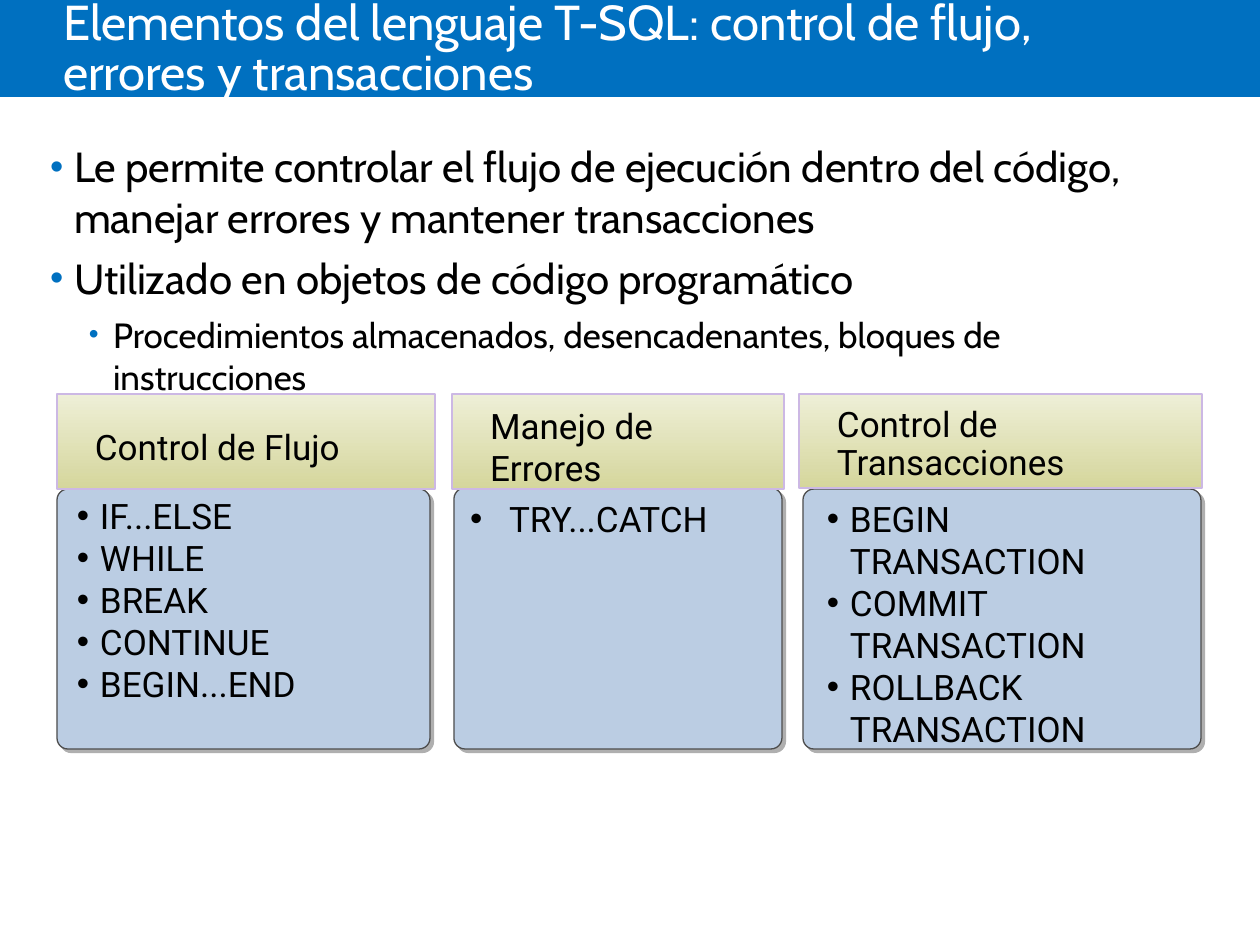
from lxml import etree
from pptx import Presentation
from pptx.dml.color import RGBColor
from pptx.enum.shapes import MSO_SHAPE
from pptx.enum.text import MSO_ANCHOR, MSO_AUTO_SIZE, PP_ALIGN
from pptx.oxml.ns import qn
from pptx.util import Pt

RECTANGLE, ROUNDED = MSO_SHAPE.RECTANGLE, MSO_SHAPE.ROUNDED_RECTANGLE
TOP, MIDDLE = MSO_ANCHOR.TOP, MSO_ANCHOR.MIDDLE
LEFT, NO_AUTOFIT = PP_ALIGN.LEFT, MSO_AUTO_SIZE.NONE
EMU_PER_PX = 914400 / 126

COLORS = {
    "band": "0070C0", "title": "FFFFFF", "text": "000000",
    "panel": "BBCDE3", "panel_line": "4D4D4D", "shadow": "AFAFAF",
    "header_top": "EEEFD7", "header_bottom": "D5D69C", "header_line": "CCB8E4",
}
TITLE = "Elementos del lenguaje T-SQL: control de flujo, errores y transacciones"
BODY = [
    (0, "Le permite controlar el flujo de ejecución dentro del código, "
        "manejar errores y mantener transacciones"),
    (0, "Utilizado en objetos de código programático"),
    (1, "Procedimientos almacenados, desencadenantes, bloques de instrucciones"),
]
LEVELS = [
    {"size": 24, "margin": 24, "bullet": 90},
    {"size": 20, "margin": 63, "bullet": 80},
]
COLUMNS = [
    {"title": "Control de Flujo", "header": (57, 394, 378, 95),
     "panel": (57, 489, 373, 260), "list": (77, 494, 304, 256), "indent": 23,
     "items": ["IF...ELSE", "WHILE", "BREAK", "CONTINUE", "BEGIN...END"]},
    {"title": "Manejo de Errores", "header": (452, 394, 332, 95),
     "panel": (454, 488, 328, 261), "list": None, "indent": 39,
     "items": ["TRY...CATCH"]},
    {"title": "Control de Transacciones", "header": (799, 394, 403, 94),
     "panel": (803, 489, 398, 260), "list": (827, 497, 365, 260), "indent": 23,
     "items": ["BEGIN TRANSACTION", "COMMIT TRANSACTION", "ROLLBACK TRANSACTION"],
     "line_spacing": 0.9, "space_before": 12},
]


def px(value):
    return round(value * EMU_PER_PX)


def color(name):
    return RGBColor.from_string(COLORS[name])


def place(shape, box):
    shape.left, shape.top, shape.width, shape.height = map(px, box)


def set_frame(frame, anchor, insets=(0, 0, 0, 0), wrap=True):
    frame.auto_size = NO_AUTOFIT
    frame.word_wrap = wrap
    frame.vertical_anchor = anchor
    (frame.margin_left, frame.margin_top,
     frame.margin_right, frame.margin_bottom) = map(px, insets)


def set_font(paragraph, name, size, color_name="text"):
    paragraph.alignment = LEFT
    paragraph.font.name = name
    paragraph.font.size = Pt(size)
    paragraph.font.color.rgb = color(color_name)


def set_bullet(paragraph, margin, indent, color_name=None, percent=100):
    properties = paragraph._p.get_or_add_pPr()
    properties.set("marL", str(px(margin)))
    properties.set("indent", str(-px(indent)))
    bullet = []
    if color_name:
        bullet_color = etree.Element(qn("a:buClr"))
        etree.SubElement(bullet_color, qn("a:srgbClr"), val=COLORS[color_name])
        bullet.append(bullet_color)
    bullet.append(etree.Element(qn("a:buSzPct"), val=str(percent * 1000)))
    bullet.append(etree.Element(qn("a:buFont"), typeface="Arial"))
    bullet.append(etree.Element(qn("a:buChar"), char="•"))
    run_defaults = properties.find(qn("a:defRPr"))
    for element in bullet:
        run_defaults.addprevious(element)


def write_paragraphs(frame, texts):
    frame.text = "\n".join(texts)
    return frame.paragraphs


def add_box(slide, kind, box, line_name=None):
    shape = slide.shapes.add_shape(kind, *map(px, box))
    shape.shadow.inherit = False
    if line_name:
        shape.line.color.rgb = color(line_name)
        shape.line.width = Pt(0.75)
    else:
        shape.line.fill.background()
    return shape


def add_title(slide):
    title = slide.shapes.title
    place(title, (63, 0, 1071, 102))
    set_frame(title.text_frame, MIDDLE, (0, 6, 13, 6))
    paragraph = write_paragraphs(title.text_frame, [TITLE])[0]
    set_font(paragraph, "Cabin", 28, "title")
    paragraph.line_spacing = 0.85
    band = add_box(slide, RECTANGLE, (0, 0, 1260, 97))
    band.fill.solid()
    band.fill.fore_color.rgb = color("band")
    title.element.addprevious(band.element)


def add_body(slide):
    body = slide.placeholders[1]
    place(body, (50, 141, 1119, 252))
    set_frame(body.text_frame, TOP)
    paragraphs = write_paragraphs(body.text_frame, [text for _, text in BODY])
    for paragraph, (level, _) in zip(paragraphs, BODY):
        style = LEVELS[level]
        paragraph.level = level
        paragraph.space_before = Pt(6)
        set_font(paragraph, "Cabin", style["size"])
        set_bullet(paragraph, style["margin"], 24, "band", style["bullet"])


def add_panel(slide, column):
    panel = add_box(slide, ROUNDED, column["panel"], "panel_line")
    panel.adjustments[0] = 0.042
    panel.fill.solid()
    panel.fill.fore_color.rgb = color("panel")
    effects = panel.element.spPr.find(qn("a:effectLst"))
    shadow = etree.SubElement(effects, qn("a:outerShdw"), dist=str(Pt(2.8)),
                              dir="2700000", algn="ctr", rotWithShape="0")
    etree.SubElement(shadow, qn("a:srgbClr"), val=COLORS["shadow"])
    if column["list"]:
        frame = slide.shapes.add_textbox(*map(px, column["list"])).text_frame
        set_frame(frame, TOP)
    else:
        frame = panel.text_frame
        set_frame(frame, TOP, (13, 6, 13, 6), wrap=False)
    for paragraph in write_paragraphs(frame, column["items"]):
        set_font(paragraph, "Roboto", 20)
        set_bullet(paragraph, column["indent"], column["indent"])


def add_header(slide, column):
    header = add_box(slide, RECTANGLE, column["header"], "header_line")
    header.fill.gradient()
    header.fill.gradient_angle = 270
    for stop, name in zip(header.fill.gradient_stops, ("header_top", "header_bottom")):
        stop.color.rgb = color(name)
    set_frame(header.text_frame, MIDDLE, (38, 15, 13, 6))
    paragraph = write_paragraphs(header.text_frame, [column["title"]])[0]
    set_font(paragraph, "Roboto", 20)
    if "line_spacing" in column:
        paragraph.line_spacing = column["line_spacing"]
        paragraph.space_before = Pt(column["space_before"])


def main():
    presentation = Presentation()
    presentation.slide_width, presentation.slide_height = px(1260), px(945)
    slide = presentation.slides.add_slide(presentation.slide_layouts[1])
    add_title(slide)
    add_body(slide)
    for add_part in (add_panel, add_header):
        for column in COLUMNS:
            add_part(slide, column)
    presentation.save("out.pptx")


if __name__ == "__main__":
    main()
